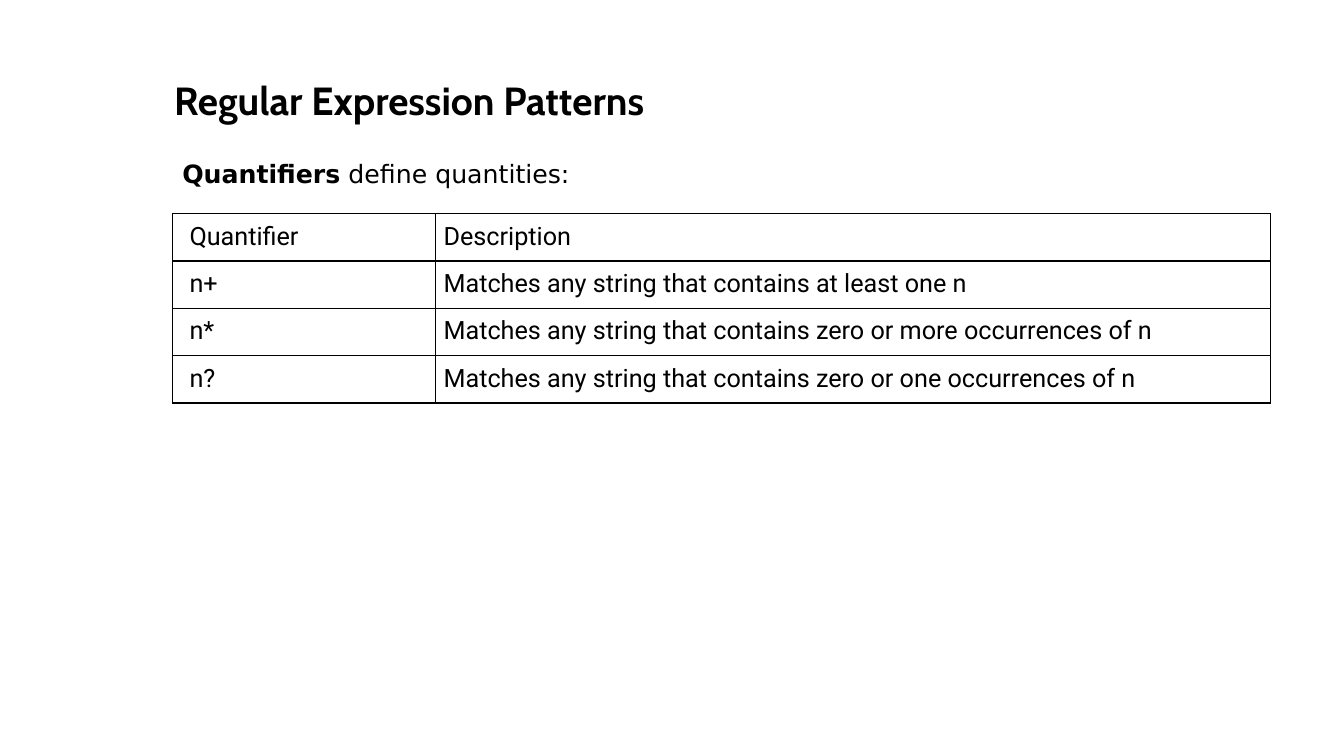
from dataclasses import dataclass

from lxml.etree import SubElement
from pptx import Presentation
from pptx.dml.color import RGBColor
from pptx.enum.text import MSO_AUTO_SIZE
from pptx.oxml.ns import qn
from pptx.util import Inches, Pt


@dataclass(frozen=True)
class Theme:
    ink: str = "000000"
    paper: str = "FFFFFF"
    title: int = 28
    body: int = 18
    head_font: str = "Cabin"
    lead_font: str = "DejaVu Sans"
    cell_font: str = "Roboto"
    rule: int = 1


THEME = Theme()

ROWS = [
    ("Quantifier", "Description"),
    ("n+", "Matches any string that contains at least one n"),
    ("n*", "Matches any string that contains zero or more occurrences of n"),
    ("n?", "Matches any string that contains zero or one occurrences of n"),
]
WIDTHS = (2.61, 8.28)
INDENTS = (0.17, 0.08)
ROW_H = 0.47
PAD = 0.08


def style(run, face, size, bold=False):
    font = run.font
    font.name = face
    font.size = Pt(size)
    font.bold = bold
    font.color.rgb = RGBColor.from_string(THEME.ink)


def add_text(slide, left, top, width, height, parts, face, size):
    """Add one line of text from (words, bold) parts."""
    box = slide.shapes.add_textbox(
        Inches(left), Inches(top), Inches(width), Inches(height))
    frame = box.text_frame
    frame.word_wrap = True
    frame.auto_size = MSO_AUTO_SIZE.SHAPE_TO_FIT_TEXT
    for words, bold in parts:
        run = frame.paragraphs[0].add_run()
        run.text = words
        style(run, face, size, bold)


def add_rules(cell):
    """Draw a line on all four sides of a cell."""
    props = cell._tc.get_or_add_tcPr()
    for side in ("lnL", "lnR", "lnT", "lnB"):
        line = SubElement(props, qn(f"a:{side}"), w=str(Pt(THEME.rule)))
        fill = SubElement(line, qn("a:solidFill"))
        SubElement(fill, qn("a:srgbClr"), val=THEME.ink)


def fill_cell(cell, words, indent):
    cell.margin_left = Inches(indent)
    cell.margin_right = cell.margin_top = cell.margin_bottom = Inches(PAD)
    cell.text_frame.text = words
    style(cell.text_frame.paragraphs[0].runs[0], THEME.cell_font, THEME.body)
    add_rules(cell)
    cell.fill.solid()
    cell.fill.fore_color.rgb = RGBColor.from_string(THEME.paper)


def add_grid(slide, left, top):
    table = slide.shapes.add_table(
        len(ROWS), len(WIDTHS), Inches(left), Inches(top),
        Inches(sum(WIDTHS)), Inches(ROW_H * len(ROWS))).table
    table.first_row = table.horz_banding = False
    for col, width in zip(table.columns, WIDTHS):
        col.width = Inches(width)
    for row, texts in zip(table.rows, ROWS):
        row.height = Inches(ROW_H)
        for cell, words, indent in zip(row.cells, texts, INDENTS):
            fill_cell(cell, words, indent)


def main():
    deck = Presentation()
    deck.slide_width, deck.slide_height = Inches(13.33), Inches(7.5)
    slide = deck.slides.add_slide(deck.slide_layouts[6])

    # Title
    add_text(slide, 1.63, 0.71, 6.67, 0.57,
             [("Regular Expression Patterns", True)],
             THEME.head_font, THEME.title)

    # Quantifier table
    add_grid(slide, 1.71, 2.12)

    # Lead line
    add_text(slide, 1.71, 1.52, 6.67, 0.4,
             [("Quantifiers", True), (" define quantities:", False)],
             THEME.lead_font, THEME.body)

    deck.save("out.pptx")


if __name__ == "__main__":
    main()
